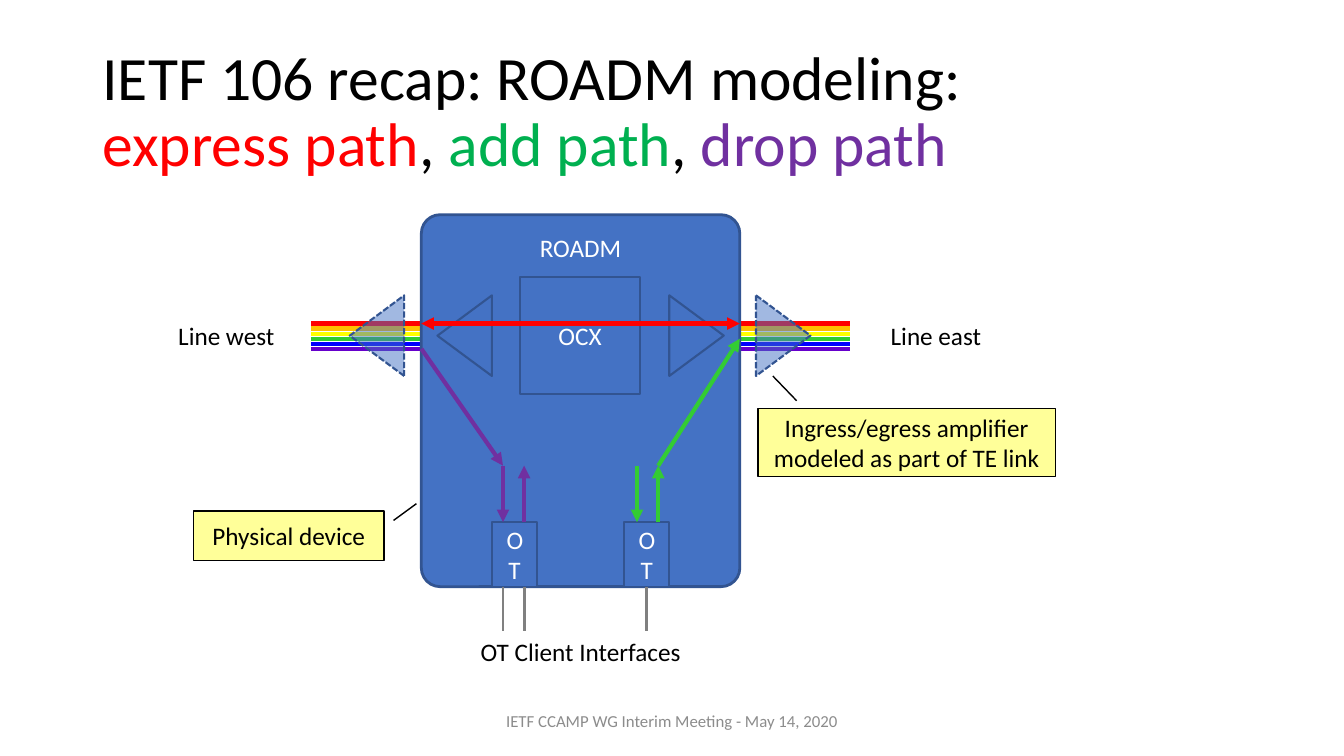
"""Build the ROADM modeling slide with its express, add and drop paths."""
from dataclasses import dataclass

from lxml.etree import SubElement
from pptx import Presentation
from pptx.dml.color import RGBColor
from pptx.enum.dml import MSO_LINE
from pptx.enum.shapes import MSO_CONNECTOR, MSO_SHAPE
from pptx.enum.text import MSO_ANCHOR, MSO_AUTO_SIZE, PP_ALIGN
from pptx.oxml.ns import qn
from pptx.util import Inches, Pt


@dataclass(frozen=True)
class Theme:
    font: str = "Calibri"
    title_size: int = 44
    body_size: int = 18
    footer_size: int = 12
    black: str = "000000"
    white: str = "FFFFFF"
    grey: str = "808080"
    footer: str = "8C8C8C"
    device: str = "4472C4"
    edge: str = "325491"
    note: str = "FFFF99"
    express: str = "FF0000"
    add: str = "33CC33"
    add_title: str = "00B050"
    drop: str = "7030A0"
    spectrum: tuple = ("FF0000", "FFC000", "FFFF00", "33CC33", "0000FF", "6600CC")


THEME = Theme()
COLUMNS, ROWS = 160, 90
WIDTH, HEIGHT = Inches(13.33), Inches(7.5)

WEST, EAST, TOP, BOTTOM = 50.16, 88.08, 25.56, 69.84
FIBER_TOP, FIBER_STEP, FIBER_LENGTH = 38.52, 0.6, 13.08
AMP_ROW, AMP_WIDTH, AMP_HEIGHT = 39.96, 9.6, 6.48
PORT_TOP, OT_TOP, OT_WIDTH, CLIENT_END = 55.44, 62.16, 5.4, 75.12
DROP_OUT, DROP_IN, ADD_OUT, ADD_IN = 59.88, 62.4, 75.84, 78.36


def col(count):
    """Return the length of a number of grid columns."""
    return round(WIDTH * count / COLUMNS)


def row(count):
    """Return the length of a number of grid rows."""
    return round(HEIGHT * count / ROWS)


def grid_box(left, top, width, height):
    """Return a grid area as slide lengths."""
    return col(left), row(top), col(width), row(height)


def rgb(color):
    """Return a colour from its hexadecimal form."""
    return RGBColor.from_string(color)


def style_paragraph(paragraph, size, color, align=PP_ALIGN.CENTER):
    """Set the font and alignment of a paragraph."""
    paragraph.alignment = align
    paragraph.font.name = THEME.font
    paragraph.font.size = Pt(size)
    paragraph.font.color.rgb = rgb(color)


def write(shape, text, color, size=THEME.body_size, anchor=MSO_ANCHOR.MIDDLE):
    """Put one centred paragraph into a shape."""
    frame = shape.text_frame
    frame.word_wrap = True
    frame.vertical_anchor = anchor
    frame.text = text
    style_paragraph(frame.paragraphs[0], size, color)


def add_label(slide, area, text, color=THEME.black, size=THEME.body_size):
    """Add a centred text box."""
    write(slide.shapes.add_textbox(*grid_box(*area)), text, color, size)


def add_block(slide, kind, area, fill=THEME.device, edge=THEME.edge, weight=1.5):
    """Add a filled, outlined shape."""
    block = slide.shapes.add_shape(kind, *grid_box(*area))
    block.shadow.inherit = False
    block.fill.solid()
    block.fill.fore_color.rgb = rgb(fill)
    block.line.color.rgb = rgb(edge)
    block.line.width = Pt(weight)
    return block


def add_amplifier(slide, center, rotation, on_link=False):
    """Add an amplifier triangle, see-through and dashed when on the link."""
    area = (center - AMP_WIDTH / 2, AMP_ROW - AMP_HEIGHT / 2, AMP_WIDTH, AMP_HEIGHT)
    amplifier = add_block(slide, MSO_SHAPE.ISOSCELES_TRIANGLE, area)
    amplifier.rotation = rotation
    if on_link:
        amplifier.line.dash_style = MSO_LINE.SQUARE_DOT
        fill_color = amplifier.fill._xPr.find(qn("a:solidFill"))[0]
        SubElement(fill_color, qn("a:alpha"), val="50000")


def add_path(slide, start, end, color, weight=3, arrows=()):
    """Add a straight line with arrowheads at the named ends."""
    path = slide.shapes.add_connector(
        MSO_CONNECTOR.STRAIGHT, col(start[0]), row(start[1]), col(end[0]), row(end[1]))
    path.line.color.rgb = rgb(color)
    path.line.width = Pt(weight)
    outline = path.line._get_or_add_ln()
    for arrow in arrows:
        SubElement(outline, qn(f"a:{arrow}"), type="triangle")
    SubElement(path._element.spPr, qn("a:effectLst"))
    return path


def add_callout(slide, area, text, leader):
    """Add a note whose leader line is given as shares of its box."""
    note = add_block(slide, MSO_SHAPE.LINE_CALLOUT_1, area, THEME.note, THEME.black, 1)
    for index, share in enumerate(leader):
        note.adjustments[index] = share
    write(note, text, THEME.black)


def add_title(slide):
    """Fill the title, colouring the name of each path."""
    title = slide.shapes.title
    title.left, title.top, title.width, title.height = grid_box(11, 4.8, 138, 17.4)
    frame = title.text_frame
    frame.word_wrap = True
    frame.auto_size = MSO_AUTO_SIZE.NONE
    frame.vertical_anchor = MSO_ANCHOR.MIDDLE
    heading = frame.paragraphs[0]
    heading.line_spacing = 0.9
    style_paragraph(heading, THEME.title_size, THEME.black, PP_ALIGN.LEFT)
    heading.add_run().text = "IETF 106 recap: ROADM modeling:"
    heading.add_line_break()
    for words, color in (("express path", THEME.express), (", ", THEME.black),
                         ("add path", THEME.add_title), (", ", THEME.black),
                         ("drop path", THEME.drop)):
        phrase = heading.add_run()
        phrase.text = words
        phrase.font.color.rgb = rgb(color)


def add_fibers(slide):
    """Draw the coloured wavelengths on both sides of the device."""
    for start in (WEST - FIBER_LENGTH, EAST):
        for index, color in enumerate(THEME.spectrum):
            level = FIBER_TOP + index * FIBER_STEP
            add_path(slide, (start + FIBER_LENGTH, level), (start, level), color)


def add_device(slide):
    """Draw the ROADM with its amplifiers, cross-connect and transponders."""
    device = add_block(slide, MSO_SHAPE.ROUNDED_RECTANGLE,
                       (WEST, TOP, EAST - WEST, BOTTOM - TOP), weight=2)
    device.adjustments[0] = 0.059
    device.text_frame.margin_top = row(1.44)
    write(device, "ROADM", THEME.white, anchor=MSO_ANCHOR.TOP)
    for center, rotation, on_link in ((55.32, 270, False), (82.92, 90, False),
                                      (44.88, 270, True), (93.24, 90, True)):
        add_amplifier(slide, center, rotation, on_link)
    cross_connect = add_block(slide, MSO_SHAPE.RECTANGLE, (61.92, 33, 14.28, 13.92))
    write(cross_connect, "OCX", THEME.white)
    transponders = []
    for left in (58.56, 74.28):
        transponder = add_block(slide, MSO_SHAPE.RECTANGLE,
                                (left, OT_TOP, OT_WIDTH, BOTTOM - OT_TOP))
        write(transponder, "OT", THEME.white)
        transponders.append(transponder)
    add_center = 74.28 + OT_WIDTH / 2
    for column in (DROP_OUT, DROP_IN, add_center):
        client = add_path(slide, (column, BOTTOM), (column, CLIENT_END), THEME.grey, 2)
    client.begin_connect(transponders[1], 2)


def add_signal_paths(slide):
    """Draw the drop, add and express paths."""
    for start, end, color in (
            ((WEST, 41.52), (DROP_OUT, PORT_TOP), THEME.drop),
            ((ADD_IN, PORT_TOP), (EAST, 40.32), THEME.add),
            ((DROP_OUT, PORT_TOP), (DROP_OUT, OT_TOP), THEME.drop),
            ((DROP_IN, OT_TOP), (DROP_IN, PORT_TOP), THEME.drop),
            ((ADD_OUT, PORT_TOP), (ADD_OUT, OT_TOP), THEME.add),
            ((ADD_IN, OT_TOP), (ADD_IN, PORT_TOP), THEME.add)):
        add_path(slide, start, end, color, arrows=("tailEnd",))
    add_path(slide, (EAST, FIBER_TOP), (WEST, FIBER_TOP), THEME.express,
             arrows=("headEnd", "tailEnd"))


def main():
    """Build and save the slide."""
    deck = Presentation()
    deck.slide_width, deck.slide_height = WIDTH, HEIGHT
    slide = deck.slides.add_slide(deck.slide_layouts[5])
    add_title(slide)
    add_fibers(slide)
    add_device(slide)
    add_signal_paths(slide)
    add_label(slide, (53.16, CLIENT_END, 31.92, 4.8), "OT Client Interfaces")
    add_label(slide, (104.04, 37.56, 14.76, 4.8), "Line east")
    add_label(slide, (19.56, 37.56, 14.76, 4.8), "Line west")
    add_callout(slide, (23.04, 60.84, 22.68, 5.88), "Physical device",
                (0.19, 1.05, -0.15, 1.17))
    add_callout(slide, (90.24, 48.6, 35.4, 8.16),
                "Ingress/egress amplifier modeled as part of TE link",
                (-0.11, 0.13, -0.47, 0.05))
    add_label(slide, (53, 83.4, 54, 4.8), "IETF CCAMP WG Interim Meeting - May 14, 2020",
              THEME.footer, THEME.footer_size)
    deck.save("out.pptx")


if __name__ == "__main__":
    main()
